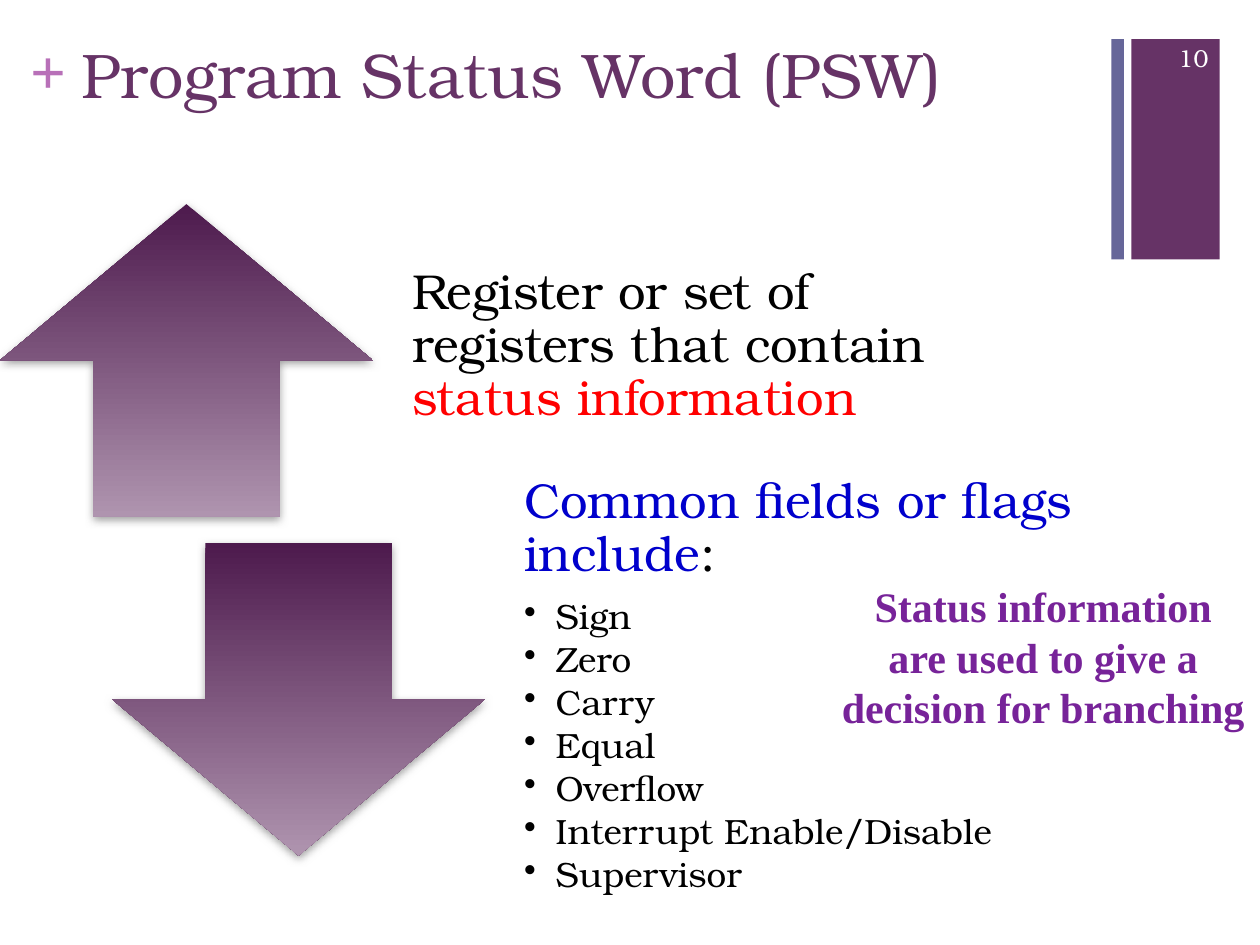
from typing import NamedTuple

from lxml import etree
from pptx import Presentation
from pptx import util as u
from pptx.dml.color import RGBColor
from pptx.enum import shapes, text
from pptx.oxml import parse_xml
from pptx.oxml.ns import qn

SERIF = "TeX Gyre Bonum"
TIMES = "Times New Roman"
PLUM = "663366"
BLACK = "000000"
INSET = (0.1, 0.05, 0.1, 0.05)
BODY_INSET = (0.22, 0, 0.22, 0.22)
SHADOW = (
    '<a:effectLst xmlns:a="http://schemas.openxmlformats.org/drawingml/2006/main">'
    '<a:outerShdw blurRad="63500" dist="25400" dir="5400000" rotWithShape="0">'
    '<a:srgbClr val="808080"><a:alpha val="75000"/></a:srgbClr>'
    "</a:outerShdw></a:effectLst>"
)


class Box(NamedTuple):
    left: float
    top: float
    width: float
    height: float


class Span(NamedTuple):
    words: str
    size: float
    color: str
    font: str = SERIF
    bold: bool = False


class Line(NamedTuple):
    spans: list[Span]
    align: text.PP_ALIGN = text.PP_ALIGN.LEFT
    spacing: float = 1.0
    after: float = 0
    bullet: bool = False


def rgb(color: str) -> RGBColor:
    return RGBColor.from_string(color)


def lengths(box: Box) -> list[u.Length]:
    return [u.Inches(value) for value in box]


def add_bar(slide, box: Box, color: str) -> None:
    bar = slide.shapes.add_shape(shapes.MSO_SHAPE.RECTANGLE, *lengths(box))
    bar.shadow.inherit = False
    bar.fill.solid()
    bar.fill.fore_color.rgb = rgb(color)
    bar.line.fill.background()


def add_arrow(slide, preset: shapes.MSO_SHAPE, box: Box) -> None:
    """Draw a block arrow shaded from dark at the top to light, with a soft shadow."""
    arrow = slide.shapes.add_shape(preset, *lengths(box))
    arrow.fill.gradient()
    arrow.fill.gradient_angle = 270
    for stop, color in zip(arrow.fill.gradient_stops, ("4D1A4D", "AF94AF")):
        stop.color.rgb = rgb(color)
    arrow.line.fill.background()
    arrow._element.spPr.append(parse_xml(SHADOW))


def add_bullet(paragraph) -> None:
    paragraph.level = 1
    properties = paragraph._p.get_or_add_pPr()
    properties.set("marL", str(u.Inches(0.25)))
    properties.set("indent", str(u.Inches(-0.25)))
    etree.SubElement(properties, qn("a:buChar")).set("char", "•")


def add_text(slide, box: Box, lines: list[Line], inset=INSET,
             anchor: text.MSO_ANCHOR = text.MSO_ANCHOR.TOP) -> None:
    frame = slide.shapes.add_textbox(*lengths(box)).text_frame
    frame.word_wrap = True
    frame.vertical_anchor = anchor
    (frame.margin_left, frame.margin_top,
     frame.margin_right, frame.margin_bottom) = [u.Inches(side) for side in inset]
    for index, line in enumerate(lines):
        paragraph = frame.add_paragraph() if index else frame.paragraphs[0]
        if line.bullet:
            add_bullet(paragraph)
        paragraph.alignment = line.align
        paragraph.line_spacing = line.spacing
        paragraph.space_after = u.Pt(line.after)
        for span in line.spans:
            run = paragraph.add_run()
            run.text = span.words
            run.font.size = u.Pt(span.size)
            run.font.name = span.font
            run.font.bold = span.bold
            run.font.color.rgb = rgb(span.color)


def main() -> None:
    deck = Presentation()
    deck.slide_width, deck.slide_height = u.Inches(10), u.Inches(7.5)
    slide = deck.slides.add_slide(deck.slide_layouts[6])
    middle = text.MSO_ANCHOR.MIDDLE

    add_bar(slide, Box(8.98, 0.31, 0.7, 1.75), PLUM)
    add_bar(slide, Box(8.82, 0.31, 0.1, 1.75), "666699")
    add_text(slide, Box(0.24, 0.25, 0.29, 0.61),
             [Line([Span("+", 36, "B870B8", TIMES, True)])], inset=(0, 0, 0, 0))
    add_text(slide, Box(0.55, 0.23, 8.26, 0.74),
             [Line([Span("Program Status Word (PSW)", 36, PLUM)])])

    add_arrow(slide, shapes.MSO_SHAPE.UP_ARROW, Box(0, 1.62, 2.96, 2.48))
    definition = Line([Span("Register or set of registers that contain ", 28, BLACK),
                       Span("status information", 28, "FF0000")],
                      spacing=0.9, after=10)
    add_text(slide, Box(3.05, 1.62, 5.01, 2.48), [definition], BODY_INSET, middle)

    add_arrow(slide, shapes.MSO_SHAPE.DOWN_ARROW, Box(0.89, 4.31, 2.96, 2.48))
    flags_heading = Line([Span("Common fields or flags include", 28, "0000CC"),
                          Span(":", 28, BLACK)], spacing=0.9, after=10)
    flags = ("Sign", "Zero", "Carry", "Equal", "Overflow",
             "Interrupt Enable/Disable", "Supervisor")
    flag_lines = [Line([Span(flag, 20, BLACK)], spacing=0.9, after=3, bullet=True)
                  for flag in flags]
    add_text(slide, Box(3.94, 3.69, 5.01, 3.72), [flags_heading, *flag_lines],
             BODY_INSET, middle)

    branching_note = Span("Status information are used to give a decision for branching",
                          24, "772399", TIMES, True)
    add_text(slide, Box(6.58, 4.56, 3.4, 1.31),
             [Line([branching_note], text.PP_ALIGN.CENTER)])
    add_text(slide, Box(9.08, 0.26, 0.61, 0.4),
             [Line([Span("10", 14, "FFFFFF")], text.PP_ALIGN.RIGHT)], anchor=middle)

    deck.save("out.pptx")


if __name__ == "__main__":
    main()
